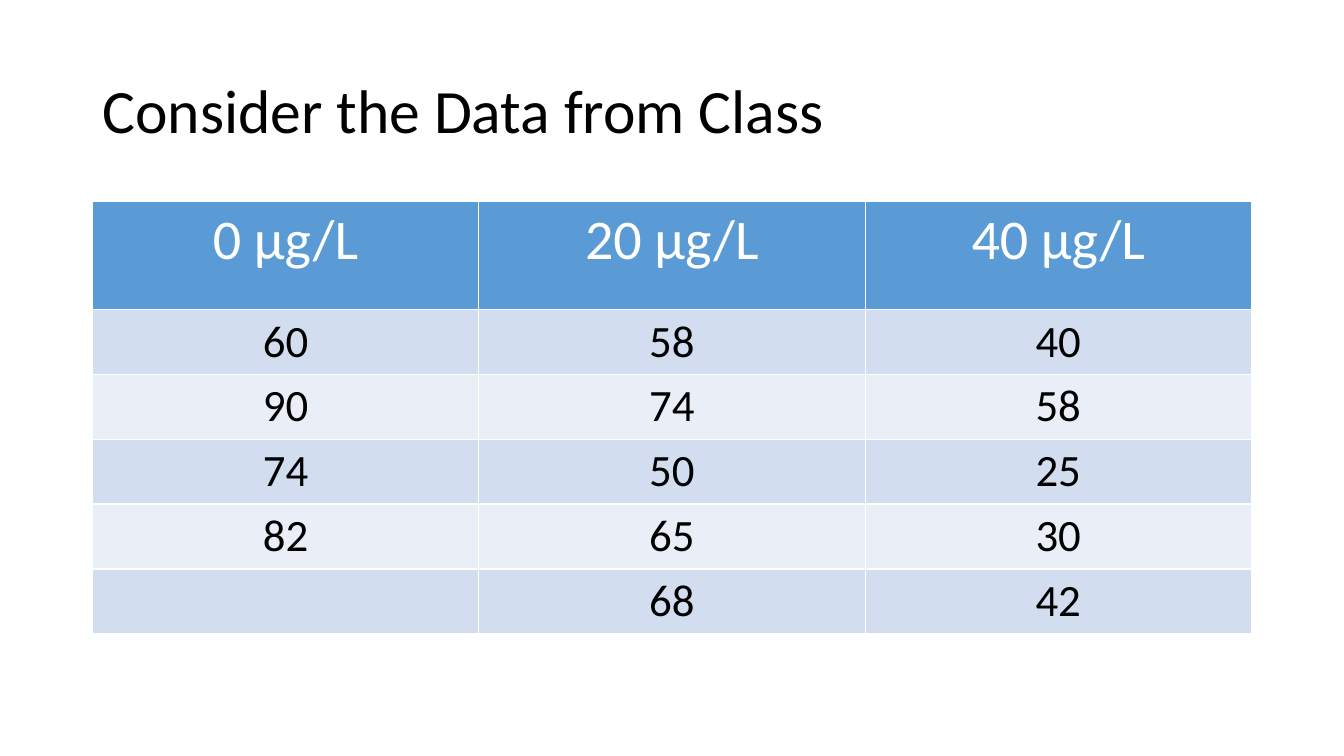
from pptx import Presentation
from pptx.dml.color import RGBColor
from pptx.enum.text import MSO_ANCHOR, PP_ALIGN
from pptx.util import Pt

FONT = "Calibri"
COLORS = {
    "text": "000000",
    "header_text": "FFFFFF",
    "header": "5B9BD5",
    "band_dark": "D2DEEF",
    "band_light": "EAEFF7",
}
LEFT, WIDTH = 66, 828
HEADER_H, ROW_H = 77, 46.2
DOSES = ["0 μg/L", "20 μg/L", "40 μg/L"]
READINGS = [
    ["60", "58", "40"],
    ["90", "74", "58"],
    ["74", "50", "25"],
    ["82", "65", "30"],
    ["", "68", "42"],
]


def rgb(name):
    return RGBColor.from_string(COLORS[name])


def format_paragraph(p, size, color, align):
    p.alignment = align
    p.font.name = FONT
    p.font.size = Pt(size)
    p.font.bold = False
    p.font.color.rgb = rgb(color)


def add_title(s, text):
    sp = s.shapes.title
    sp.left, sp.top, sp.width, sp.height = Pt(LEFT), Pt(28.8), Pt(WIDTH), Pt(104.4)
    tf = sp.text_frame
    tf.text = text
    tf.vertical_anchor = MSO_ANCHOR.MIDDLE
    p = tf.paragraphs[0]
    p.line_spacing = 0.9
    format_paragraph(p, 44, "text", PP_ALIGN.LEFT)


def fill_cell(cell, text, size, color, fill):
    cell.text = text
    cell.fill.solid()
    cell.fill.fore_color.rgb = rgb(fill)
    format_paragraph(cell.text_frame.paragraphs[0], size, color, PP_ALIGN.CENTER)


def add_data_table(s, header, rows):
    height = HEADER_H + ROW_H * len(rows)
    # The default table style draws the white cell borders
    table = s.shapes.add_table(len(rows) + 1, len(header), Pt(LEFT), Pt(144),
                               Pt(WIDTH), Pt(height)).table

    # Header row
    table.rows[0].height = Pt(HEADER_H)
    for c, text in enumerate(header):
        fill_cell(table.cell(0, c), text, 40, "header_text", "header")

    # Banded data rows
    for r, values in enumerate(rows, start=1):
        table.rows[r].height = Pt(ROW_H)
        band = "band_dark" if r % 2 else "band_light"
        for c, text in enumerate(values):
            fill_cell(table.cell(r, c), text, 32, "text", band)


def main():
    prs = Presentation()
    prs.slide_width, prs.slide_height = Pt(960), Pt(540)
    s = prs.slides.add_slide(prs.slide_layouts[5])
    add_title(s, "Consider the Data from Class")
    add_data_table(s, DOSES, READINGS)
    prs.save("out.pptx")


main()
